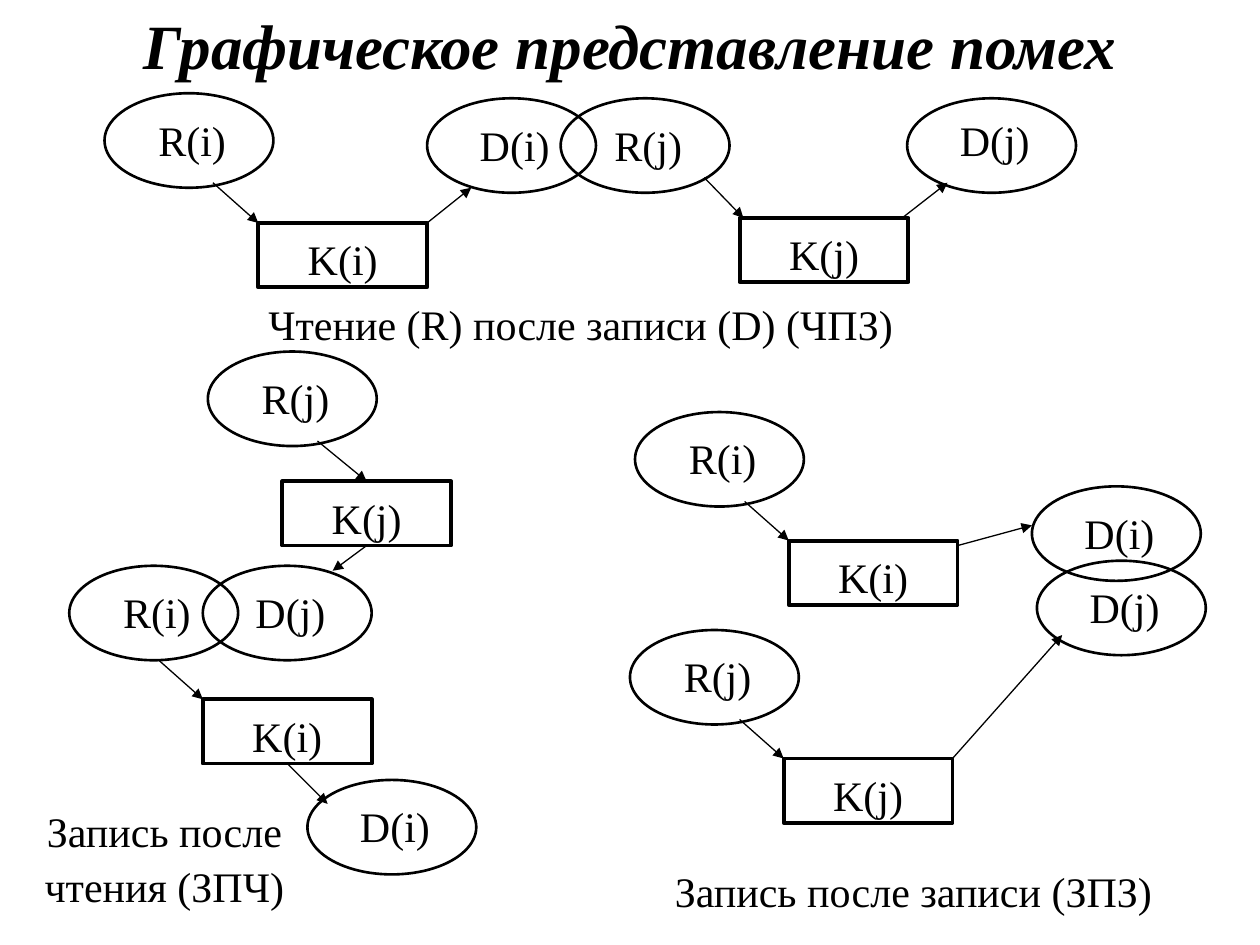
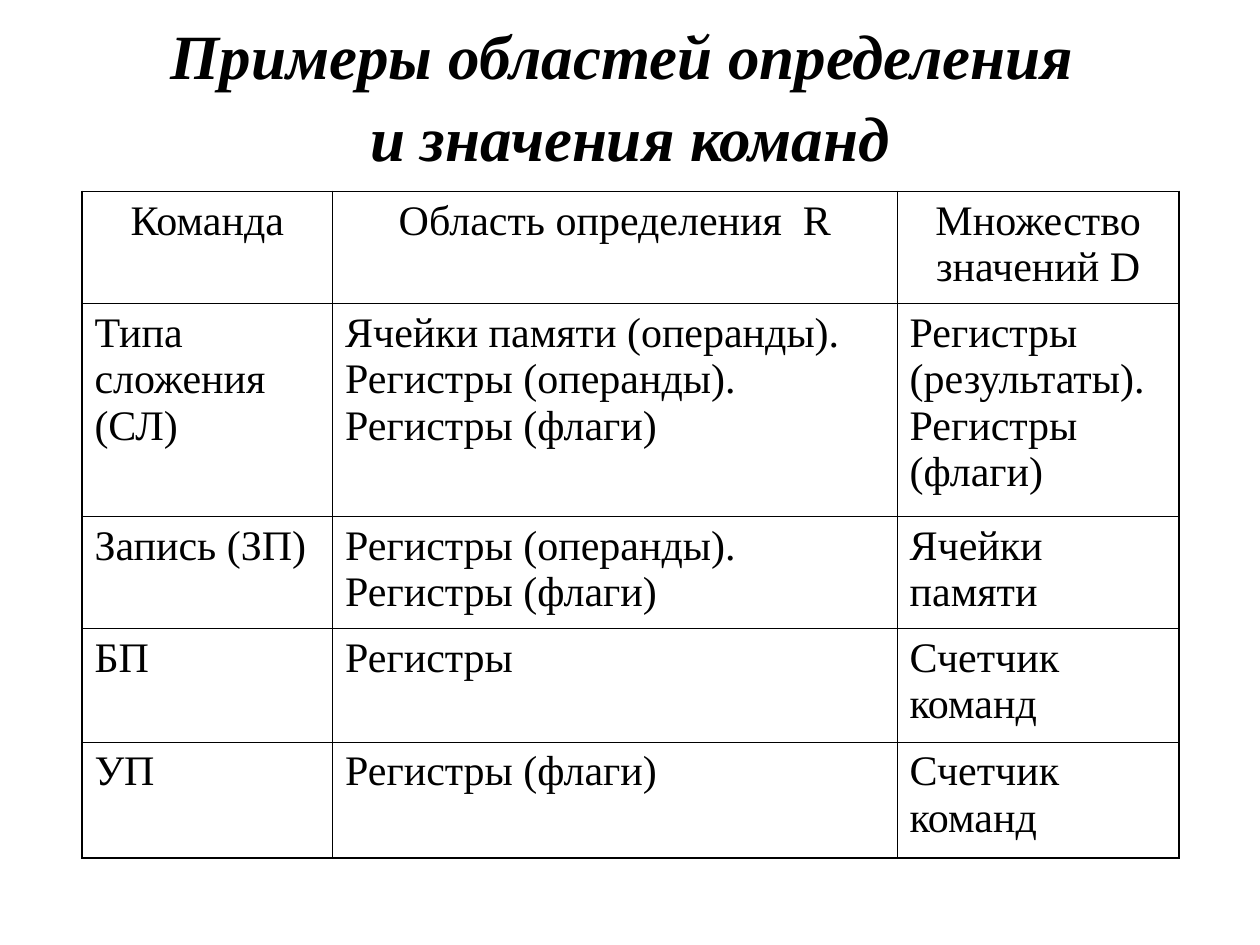
from dataclasses import dataclass

from lxml.etree import SubElement
from pptx import Presentation
from pptx.dml.color import RGBColor
from pptx.enum.shapes import MSO_CONNECTOR as CONN, MSO_SHAPE as SHAPE
from pptx.enum.text import MSO_ANCHOR as ANCHOR, MSO_AUTO_SIZE as AUTO, PP_ALIGN as ALIGN
from pptx.oxml import parse_xml
from pptx.oxml.ns import nsdecls, qn
from pptx.util import Inches, Pt


@dataclass(frozen=True)
class Theme:
    ink: str = "000000"
    font: str = "Times New Roman"
    title: int = 36
    body: int = 24
    spacing: float = 1.09
    box_line: float = 2.25
    oval_line: float = 1.5
    arrow_line: float = 0.75
    outer_border: float = 1.08
    inner_border: float = 0.45


T = Theme()
INK = RGBColor.from_string(T.ink)
TOP, LEFT, BOTTOM, RIGHT = range(4)

# Content: titles with top and height
HAZARD_TITLE = ("Графическое представление помех", 0.05, 0.55)
TABLE_TITLE = ("Примеры областей определения \vи значения команд", 0.22, 1.02)

# Content: conflicts between commands i and j; an arrow end is a point or (box, side)
OVAL_SIZE = (1.34, 0.75)
BOX_SIZE = (1.34, 0.51)
LABEL_SIZE = (0.91, 0.55)
LABEL_SHIFT = (0.24, 0.08)
HAZARDS = [
    {"caption": ("Чтение (R) после записи (D) (ЧПЗ)", 2.01, 2.28, 5.2, 0.55),
     "ovals": [("R(i)", 0.83, 0.74), ("D(i)", 3.39, 0.78), ("R(j)", 4.45, 0.78),
               ("D(j)", 7.2, 0.78, 0.04)],
     "boxes": [("K(i)", 2.05, 1.77), ("K(j)", 5.87, 1.73)],
     "arrows": [((1.69, 1.45), (2.05, 1.77)), ((3.39, 1.77), (3.74, 1.49)),
                ((5.59, 1.41), (5.9, 1.73)), ((7.16, 1.73), (7.52, 1.45))]},
    {"caption": ("Запись после чтения (ЗПЧ)", 0.2, 6.31, 2.21, 0.98),
     "ovals": [("R(j)", 1.65, 2.79), ("R(i)", 0.55, 4.49), ("D(j)", 1.61, 4.49),
               ("D(i)", 2.44, 6.19)],
     "boxes": [("K(j)", 2.24, 3.82), ("K(i)", 1.61, 5.55)],
     "arrows": [((2.52, 3.5), ("K(j)", TOP)), (("K(j)", BOTTOM), (2.64, 4.53)),
                ((1.26, 5.24), (1.61, 5.55)), (("K(i)", BOTTOM), (2.6, 6.38))]},
    {"caption": ("Запись после записи (ЗПЗ)", 4.65, 6.78, 5.2, 0.55),
     "ovals": [("R(i)", 5.04, 3.27), ("D(i)", 8.19, 3.86), ("R(j)", 5, 5),
               ("D(j)", 8.23, 4.45)],
     "boxes": [("K(i)", 6.26, 4.29), ("K(j)", 6.22, 6.02)],
     "arrows": [((5.91, 3.98), (6.26, 4.29)), ((7.6, 4.33), (8.19, 4.17)),
                ((5.87, 5.71), (6.22, 6.02)), ((7.56, 6.02), (8.43, 5.04))]},
]

# Content: command table
COMMANDS = [
    ("Команда", "Область определения  R", "Множество значений D"),
    ("Типа сложения (СЛ)",
     "Ячейки памяти (операнды). Регистры (операнды). Регистры (флаги)",
     "Регистры (результаты). Регистры (флаги)"),
    ("Запись (ЗП)", "Регистры (операнды). Регистры (флаги)", "Ячейки памяти"),
    ("БП", "Регистры", "Счетчик команд"),
    ("УП", "Регистры (флаги)", "Счетчик команд"),
]
TABLE_AT = (0.65, 1.52)
COL_WIDTHS = (1.99, 4.48, 2.24)
ROW_HEIGHTS = (0.89, 1.69, 0.89, 0.9, 0.92)


def inches(*values):
    return [Inches(v) for v in values]


# Text
def write(tf, text, size=T.body, align=ALIGN.CENTER, spacing=T.spacing, **extra):
    tf.word_wrap = True
    tf.text = text
    p = tf.paragraphs[0]
    p.alignment, p.line_spacing = align, spacing
    for r in p.runs:
        r.font.color.rgb = INK
        for name, value in {"name": T.font, "size": Pt(size), **extra}.items():
            setattr(r.font, name, value)
    return p


def add_text(s, text, *at):
    write(s.shapes.add_textbox(*inches(*at)).text_frame, text)


def add_titled_slide(prs, text, top, height):
    s = prs.slides.add_slide(prs.slide_layouts[5])
    title = s.shapes.title
    for name, value in zip(("left", "top", "width", "height"), inches(0, top, 10, height)):
        setattr(title, name, value)
    tf = title.text_frame
    tf.auto_size, tf.vertical_anchor = AUTO.NONE, ANCHOR.MIDDLE
    write(tf, text, T.title, bold=True, italic=True)
    return s


# Diagram parts
def add_outline(s, kind, x, y, size, weight):
    sp = s.shapes.add_shape(kind, *inches(x, y, *size))
    sp.shadow.inherit = False
    sp.fill.background()
    sp.line.color.rgb, sp.line.width = INK, Pt(weight)
    return sp


def add_oval(s, text, x, y, label_dy=LABEL_SHIFT[1]):
    add_text(s, text, x + LABEL_SHIFT[0], y + label_dy, *LABEL_SIZE)
    add_outline(s, SHAPE.OVAL, x, y, OVAL_SIZE, T.oval_line)


def add_box(s, text, x, y):
    sp = add_outline(s, SHAPE.RECTANGLE, x, y, BOX_SIZE, T.box_line)
    sp.text_frame.vertical_anchor = ANCHOR.TOP
    write(sp.text_frame, text)
    return sp


def add_arrow(s, start, end, boxes):
    points = [(0, 0) if p[0] in boxes else p for p in (start, end)]
    c = s.shapes.add_connector(CONN.STRAIGHT, *inches(*points[0], *points[1]))
    for p, join in ((start, c.begin_connect), (end, c.end_connect)):
        if p[0] in boxes:
            join(boxes[p[0]], p[1])
    c.line.color.rgb, c.line.width = INK, Pt(T.arrow_line)
    SubElement(c.line._get_or_add_ln(), qn("a:tailEnd"), type="triangle")
    SubElement(c._element.spPr, qn("a:effectLst"))


def add_hazard(s, hazard):
    for oval in hazard["ovals"]:
        add_oval(s, *oval)
    boxes = {box[0]: add_box(s, *box) for box in hazard["boxes"]}
    for start, end in hazard["arrows"]:
        add_arrow(s, start, end, boxes)
    add_text(s, *hazard["caption"])


# Table
def set_borders(cell, row, col):
    outer = {"L": col == 0, "R": col == len(COL_WIDTHS) - 1,
             "T": row == 0, "B": row == len(ROW_HEIGHTS) - 1}
    for i, (side, is_outer) in enumerate(outer.items()):
        width = Pt(T.outer_border if is_outer else T.inner_border)
        cell._tc.get_or_add_tcPr().insert(i, parse_xml(
            f'<a:ln{side} {nsdecls("a")} w="{width}"><a:solidFill>'
            f'<a:srgbClr val="{T.ink}"/></a:solidFill></a:ln{side}>'))


def add_commands(s):
    size = sum(COL_WIDTHS), sum(ROW_HEIGHTS)
    table = s.shapes.add_table(len(COMMANDS), len(COL_WIDTHS),
                               *inches(*TABLE_AT, *size)).table
    table.first_row = table.horz_banding = False
    for column, width in zip(table.columns, COL_WIDTHS):
        column.width = Inches(width)
    for i, (texts, height) in enumerate(zip(COMMANDS, ROW_HEIGHTS)):
        table.rows[i].height = Inches(height)
        for j, text in enumerate(texts):
            cell = table.cell(i, j)
            align = ALIGN.LEFT if i else ALIGN.CENTER
            write(cell.text_frame, text, align=align, spacing=1.0).space_before = Pt(6)
            cell.fill.background()
            set_borders(cell, i, j)


def main():
    prs = Presentation()
    prs.slide_width, prs.slide_height = inches(10, 7.5)

    s = add_titled_slide(prs, *HAZARD_TITLE)
    for hazard in HAZARDS:
        add_hazard(s, hazard)

    add_commands(add_titled_slide(prs, *TABLE_TITLE))
    prs.save("out.pptx")


if __name__ == "__main__":
    main()
